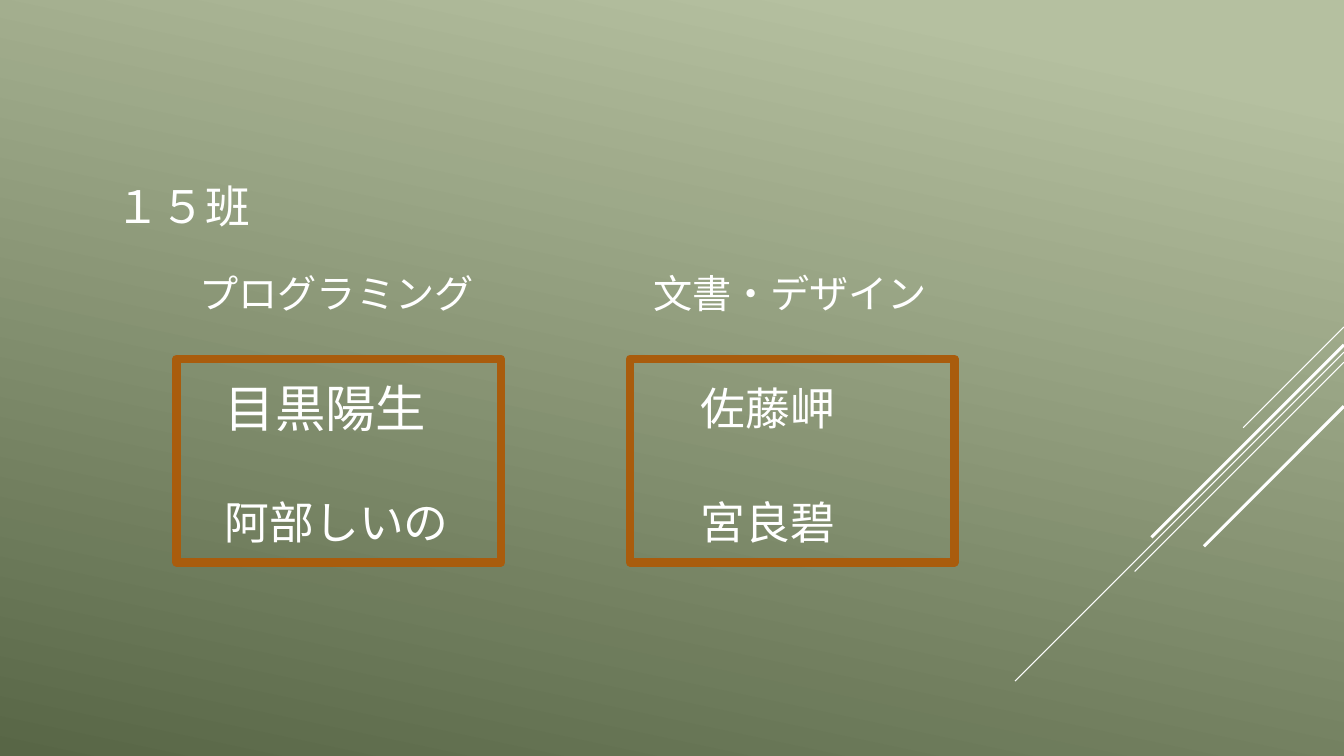
from typing import NamedTuple

from lxml.etree import SubElement
from pptx import Presentation
from pptx.dml.color import RGBColor
from pptx.enum.shapes import MSO_CONNECTOR as Connector, MSO_SHAPE as Shape
from pptx.enum.text import MSO_ANCHOR as Anchor, PP_ALIGN as Align
from pptx.oxml.ns import qn
from pptx.util import Pt

WHITE = RGBColor(0xFF, 0xFF, 0xFF)
ORANGE = RGBColor(0xA9, 0x5C, 0x0D)
LIGHT_GREEN = RGBColor(0xB5, 0xC0, 0xA0)
DARK_GREEN = RGBColor(0x58, 0x66, 0x46)
TITLE_FONT = "Noto Sans CJK JP"
BODY_FONT = "League Spartan"
SLIDE_WIDTH, SLIDE_HEIGHT = 960, 540


class Ray(NamedTuple):
    """A 45 degree line running down and left from the right edge."""
    top: float
    reach: float
    weight: float


class Member(NamedTuple):
    """A person's name with its place and size."""
    name: str
    top: float
    width: float
    size: float = 32


class Team(NamedTuple):
    """A role with its framed members."""
    role: str
    left: float
    names_left: float
    members: list[Member]


RAYS = [
    Ray(233.5, 72, 0.75),
    Ray(251.5, 235, 0.75),
    Ray(258.7, 149.5, 0.75),
    Ray(246.3, 137.5, 2.25),
    Ray(290.2, 100, 2.25),
]
TEAMS = [
    Team("プログラミング", 126, 153.4,
         [Member("目黒陽生", 265.7, 247, 36), Member("阿部しいの", 350, 177)]),
    Team("文書・デザイン", 450, 493.2,
         [Member("佐藤岬", 268.6, 112), Member("宮良碧", 350, 112)]),
]


def write_text(shape, text: str, *, size: float, font: str = BODY_FONT) -> None:
    """Fill a shape with one left-aligned white line of text."""
    frame = shape.text_frame
    frame.word_wrap = True
    frame.vertical_anchor = Anchor.TOP
    paragraph = frame.paragraphs[0]
    paragraph.alignment = Align.LEFT
    run = paragraph.add_run()
    run.text = text
    run.font.size = Pt(size)
    run.font.name = font
    run.font.color.rgb = WHITE
    SubElement(run.font._element, qn("a:ea")).set("typeface", font)


def add_text(slide, text: str, left: float, top: float, width: float, *, size: float) -> None:
    """Add a text box tall enough for one line."""
    box = slide.shapes.add_textbox(Pt(left), Pt(top), Pt(width), Pt(size * 1.2 + 7.2))
    write_text(box, text, size=size)


def paint_background(slide) -> None:
    """Set the green gradient behind the slide."""
    fill = slide.background.fill
    fill.gradient()
    fill.gradient_angle = 258
    for stop, position, color in zip(fill.gradient_stops, (0.1, 1), (LIGHT_GREEN, DARK_GREEN)):
        stop.position = position
        stop.color.rgb = color


def add_ray(slide, ray: Ray) -> None:
    """Draw one decorative diagonal line."""
    line = slide.shapes.add_connector(
        Connector.STRAIGHT, Pt(SLIDE_WIDTH), Pt(ray.top),
        Pt(SLIDE_WIDTH - ray.reach), Pt(ray.top + ray.reach))
    line.line.color.rgb = WHITE
    line.line.width = Pt(ray.weight)
    SubElement(line._element.spPr, qn("a:effectLst"))


def add_team(slide, team: Team) -> None:
    """Draw a role heading, its members and their frame."""
    add_text(slide, team.role, team.left + 9.4, 188.6, 212.4, size=28)
    for member in team.members:
        add_text(slide, member.name, team.names_left, member.top, member.width, size=member.size)
    frame = slide.shapes.add_shape(Shape.RECTANGLE, Pt(team.left), Pt(256.3), Pt(231.8), Pt(145.4))
    frame.shadow.inherit = False
    frame.fill.background()
    frame.line.color.rgb = ORANGE
    frame.line.width = Pt(6)
    SubElement(frame.line._get_or_add_ln(), qn("a:round"))


presentation = Presentation()
presentation.slide_width = Pt(SLIDE_WIDTH)
presentation.slide_height = Pt(SLIDE_HEIGHT)
slide = presentation.slides.add_slide(presentation.slide_layouts[5])
paint_background(slide)
for ray in RAYS:
    add_ray(slide, ray)
title = slide.shapes.title
title.left, title.top, title.width, title.height = Pt(75.6), Pt(123.8), Pt(137.5), Pt(46)
write_text(title, "１５班", size=32, font=TITLE_FONT)
for team in TEAMS:
    add_team(slide, team)
presentation.save("out.pptx")
